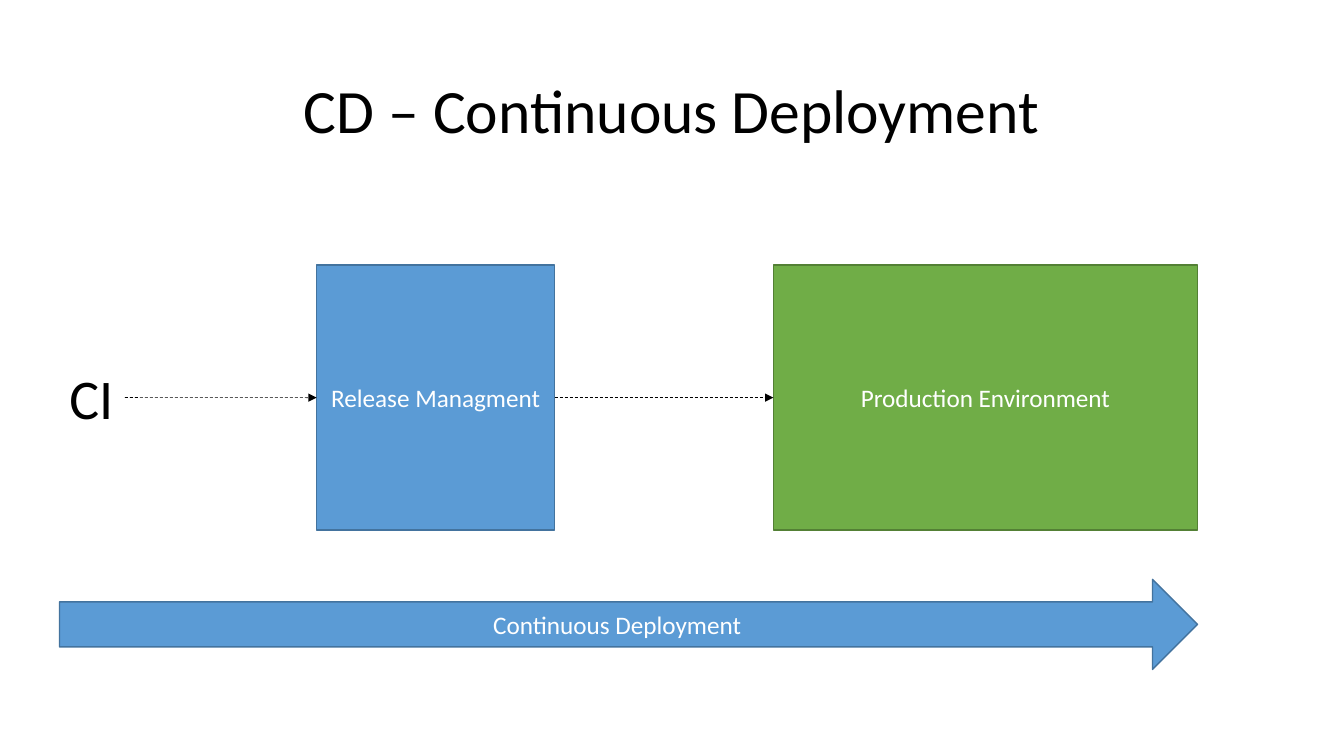
from lxml.etree import SubElement
from pptx import Presentation
from pptx.dml.color import RGBColor
from pptx.enum.dml import MSO_LINE
from pptx.enum.shapes import MSO_CONNECTOR, MSO_SHAPE
from pptx.enum.text import MSO_ANCHOR, MSO_AUTO_SIZE, PP_ALIGN
from pptx.oxml.ns import qn
from pptx.util import Cm, Pt

BLUE = ("5B9BD5", "43739E")
GREEN = ("70AD47", "538035")


def tint(code):
    """Return the colour for a hex string."""
    return RGBColor.from_string(code)


def style(item, **form):
    """Set each format value on the item."""
    for name, value in form.items():
        setattr(item, name, value)


def write(frame, text, size, color, align, **form):
    """Fill a text frame with one formatted line."""
    frame.text = text
    style(frame, **form)
    line = frame.paragraphs[0]
    line.alignment = align
    font = line.runs[0].font
    style(font, name="Calibri", size=Pt(size))
    font.color.rgb = tint(color)
    return line


def block(slide, kind, box, text, colors):
    """Draw a filled shape with a centred white label."""
    shape = slide.shapes.add_shape(kind, *map(Cm, box))
    shape.shadow.inherit = False
    shape.fill.solid()
    shape.fill.fore_color.rgb = tint(colors[0])
    shape.line.color.rgb = tint(colors[1])
    shape.line.width = Pt(1)
    write(shape.text_frame, text, 18, "FFFFFF", PP_ALIGN.CENTER,
          vertical_anchor=MSO_ANCHOR.MIDDLE, word_wrap=True)
    return shape


def link(slide, start, end):
    """Join two parts, right side to left side, with a dashed arrow."""
    wire = slide.shapes.add_connector(MSO_CONNECTOR.STRAIGHT, 0, 0, 0, 0)
    wire.begin_connect(start, 3)
    wire.end_connect(end, 1)
    style(wire.line, width=Pt(0.5), dash_style=MSO_LINE.DASH)
    wire.line.color.rgb = tint("000000")
    props = wire._element.spPr
    SubElement(props.find(qn("a:ln")), qn("a:tailEnd"), type="triangle")
    SubElement(props, qn("a:effectLst"))


def head(slide, box):
    """Place and format the title."""
    title = slide.shapes.title
    style(title, **dict(zip(("left", "top", "width", "height"), map(Cm, box))))
    line = write(title.text_frame, "CD – Continuous Deployment", 44, "000000",
                 PP_ALIGN.CENTER, vertical_anchor=MSO_ANCHOR.MIDDLE)
    line.line_spacing = 0.9


def flow(slide, box):
    """Draw the path from CI through release to production."""
    left, top, width, height = box
    tall = 1.96
    label = slide.shapes.add_textbox(
        Cm(left), Cm(top + (height - tall) / 2), Cm(1.65), Cm(tall))
    write(label.text_frame, "CI", 40, "000000", PP_ALIGN.LEFT,
          word_wrap=False, auto_size=MSO_AUTO_SIZE.SHAPE_TO_FIT_TEXT)
    last = label
    wide = 10.69
    for shift, span, text, colors in (
            (6.48, 6, "Release Managment", BLUE),
            (width - wide, wide, "Production Environment", GREEN)):
        part = block(slide, MSO_SHAPE.RECTANGLE,
                     (left + shift, top, span, height), text, colors)
        link(slide, last, part)
        last = part


def main():
    """Build and save the slide."""
    deck = Presentation()
    style(deck, slide_width=Cm(33.87), slide_height=Cm(19.05))
    slide = deck.slides.add_slide(deck.slide_layouts[5])
    head(slide, (2.33, 1.01, 29.21, 3.68))
    flow(slide, (1.5, 6.68, 28.68, 6.68))
    block(slide, MSO_SHAPE.RIGHT_ARROW, (1.5, 14.6, 28.68, 2.27),
          "Continuous Deployment", BLUE)
    deck.save("out.pptx")


if __name__ == "__main__":
    main()
